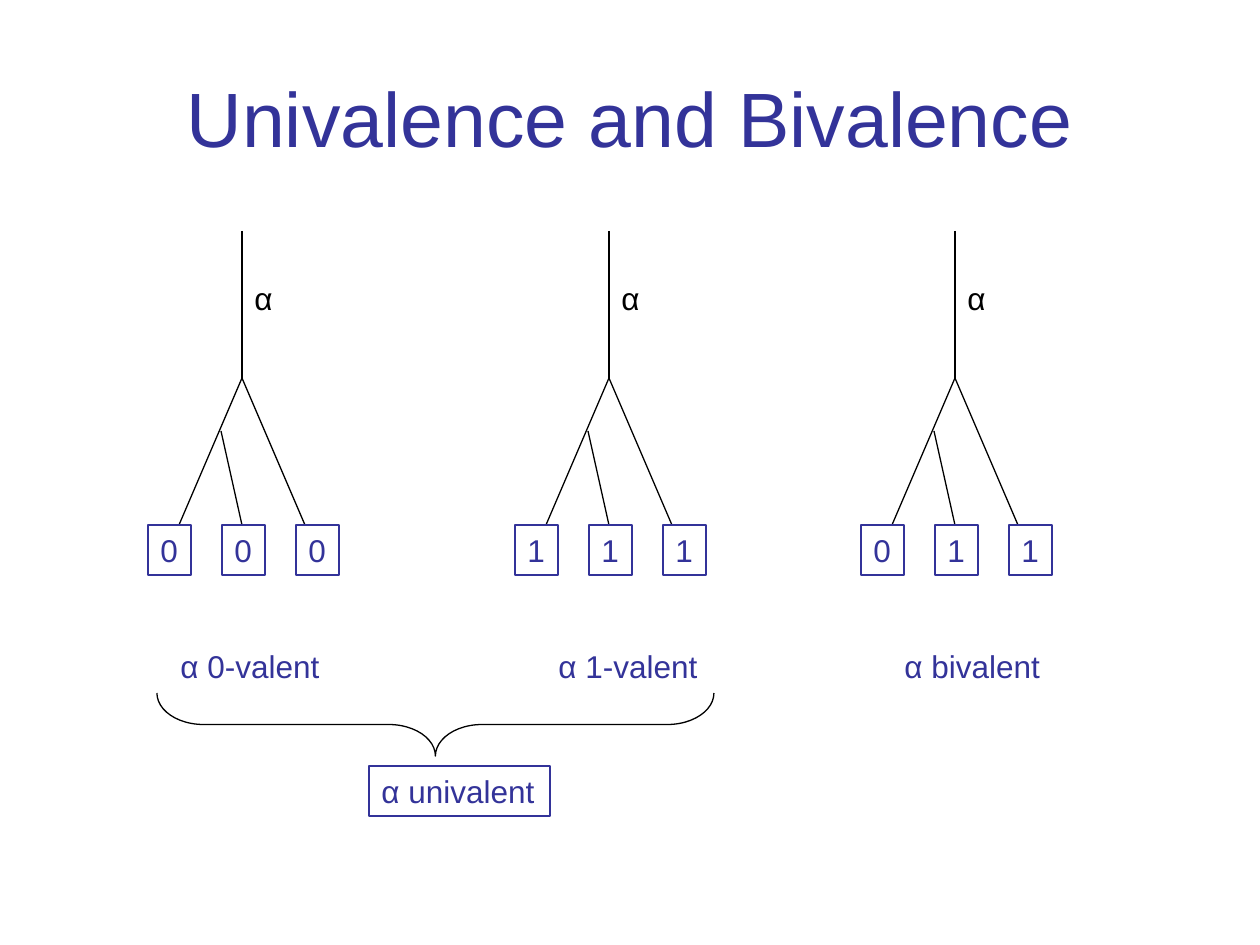
from lxml.etree import SubElement
from pptx import Presentation
from pptx.dml.color import RGBColor
from pptx.enum.shapes import MSO_CONNECTOR, MSO_SHAPE
from pptx.enum.text import MSO_ANCHOR, MSO_AUTO_SIZE, PP_ALIGN
from pptx.oxml.ns import qn
from pptx.util import Emu, Pt

COLORS = {"ink": "333399", "line": "000000"}
LINE_WIDTH = Pt(0.75)


def px(*lengths):
    return [Emu(round(length * 914400 / 126)) for length in lengths]


def add_label(text, box, color="ink", framed=False):
    if framed:
        shape = slide.shapes.add_shape(MSO_SHAPE.RECTANGLE, *px(*box))
        shape.shadow.inherit = False
        shape.fill.background()
        shape.line.color.rgb = RGBColor.from_string(COLORS["ink"])
        shape.line.width = LINE_WIDTH
    else:
        shape = slide.shapes.add_textbox(*px(*box))
    frame = shape.text_frame
    frame.word_wrap = False
    frame.auto_size = MSO_AUTO_SIZE.SHAPE_TO_FIT_TEXT
    frame.vertical_anchor = MSO_ANCHOR.TOP
    paragraph = frame.paragraphs[0]
    paragraph.text = text
    paragraph.alignment = PP_ALIGN.LEFT
    paragraph.font.name = "Arial"
    paragraph.font.size = Pt(18)
    paragraph.font.color.rgb = RGBColor.from_string(COLORS[color])


presentation = Presentation()
presentation.slide_width, presentation.slide_height = px(1260, 945)
slide = presentation.slides.add_slide(presentation.slide_layouts[5])

# Title
title = slide.shapes.title
title.left, title.top, title.width, title.height = px(63, 38, 1134, 158)
title.text_frame.vertical_anchor = MSO_ANCHOR.MIDDLE
paragraph = title.text_frame.paragraphs[0]
paragraph.text = "Univalence and Bivalence"
paragraph.alignment = PP_ALIGN.CENTER
paragraph.font.name = "Arial"
paragraph.font.size = Pt(44)
paragraph.font.color.rgb = RGBColor.from_string(COLORS["ink"])

# Execution trees: stem x, decision values, caption, caption left
trees = [
    (242, "000", "α 0-valent", 168),
    (609, "111", "α 1-valent", 546),
    (955, "011", "α bivalent", 892),
]
# Branches relative to the stem: start x, start y, end x, end y
branches = [(0, 231, 0, 378), (0, 378, 63, 525), (0, 378, -63, 525), (-21, 431, 0, 525)]

for stem, values, caption, caption_left in trees:
    for x1, y1, x2, y2 in branches:
        line = slide.shapes.add_connector(
            MSO_CONNECTOR.STRAIGHT, *px(stem + x1, y1, stem + x2, y2))
        line.line.color.rgb = RGBColor.from_string(COLORS["line"])
        line.line.width = LINE_WIDTH
        SubElement(line._element.spPr, qn("a:effectLst"))
    add_label("α", (stem, 273, 45, 50), "line")
    for index, value in enumerate(values):
        add_label(value, (stem - 94 + 74 * index, 525, 43, 50), framed=True)
    add_label(caption, (caption_left, 641, 167, 50))

# Brace joining the two univalent cases
brace = slide.shapes.add_shape(MSO_SHAPE.LEFT_BRACE, *px(404, 446, 63, 557))
brace.rotation = 270
brace.adjustments[0] = 0.74
brace.shadow.inherit = False
brace.fill.background()
brace.line.color.rgb = RGBColor.from_string(COLORS["line"])
brace.line.width = LINE_WIDTH
add_label("α univalent", (369, 766, 181, 50), framed=True)

presentation.save("out.pptx")
